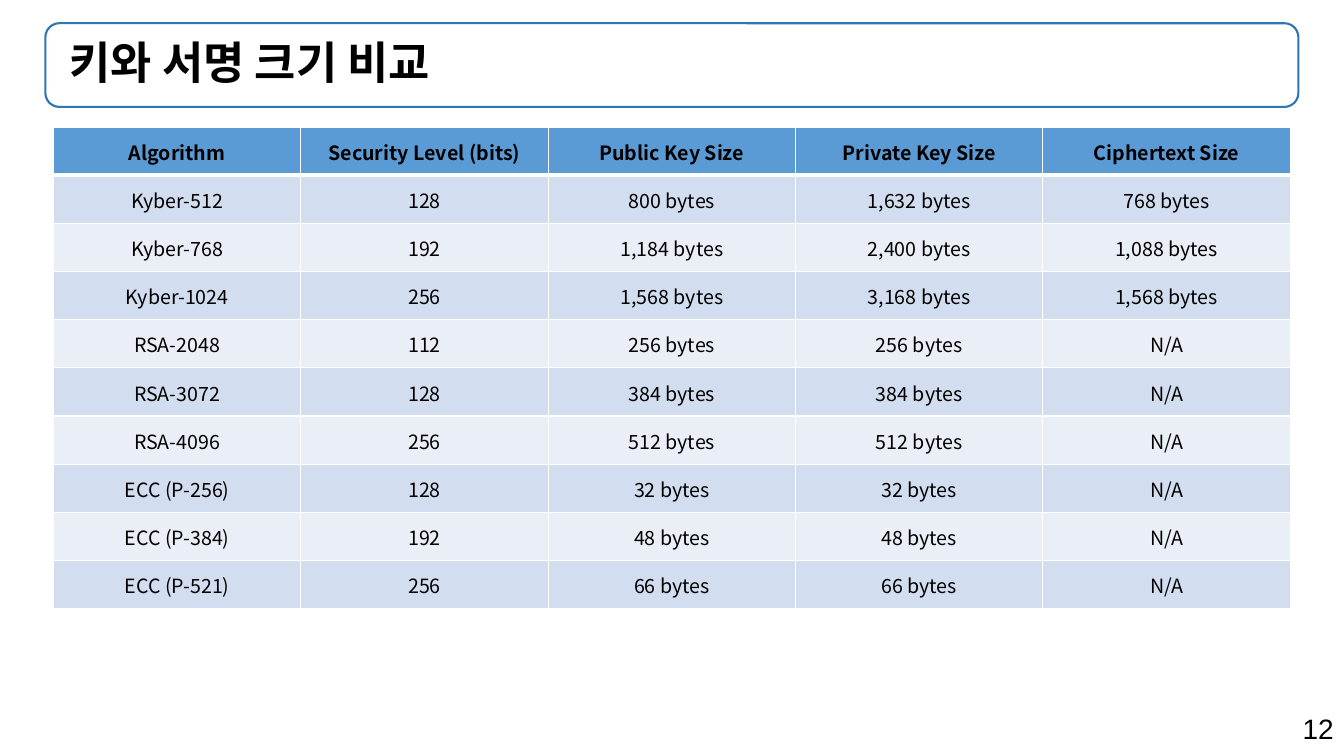
from dataclasses import dataclass

from lxml.etree import SubElement
from pptx import Presentation
from pptx.dml.color import RGBColor
from pptx.enum.shapes import MSO_SHAPE
from pptx.enum.text import MSO_ANCHOR, MSO_AUTO_SIZE, PP_ALIGN
from pptx.oxml import parse_xml
from pptx.oxml.ns import nsdecls, qn
from pptx.util import Inches, Pt

BLACK = RGBColor(0x00, 0x00, 0x00)
WHITE = RGBColor(0xFF, 0xFF, 0xFF)
FRAME_BLUE = RGBColor(0x2E, 0x75, 0xB6)
HEADER_BLUE = RGBColor(0x5B, 0x9B, 0xD5)
BANDS = (RGBColor(0xD2, 0xDE, 0xEF), RGBColor(0xEA, 0xEF, 0xF7))

LATIN_FONT = "Arial"
KOREAN_FONT = "Noto Sans CJK KR"
SLIDE_WIDTH, SLIDE_HEIGHT = Inches(13.33), Inches(7.5)


@dataclass(frozen=True)
class Area:
    """A place on the slide, in percent of its width and height."""
    left: float
    top: float
    width: float
    height: float

    def lengths(self) -> tuple[int, int, int, int]:
        return (round(SLIDE_WIDTH * self.left / 100),
                round(SLIDE_HEIGHT * self.top / 100),
                round(SLIDE_WIDTH * self.width / 100),
                round(SLIDE_HEIGHT * self.height / 100))


@dataclass(frozen=True)
class KeySizes:
    algorithm: str
    security: str
    public_key: str
    private_key: str
    ciphertext: str = "N/A"

    def texts(self) -> tuple[str, ...]:
        return (self.algorithm, self.security, self.public_key,
                self.private_key, self.ciphertext)


TITLE_AREA = Area(3.38, 3.07, 93.23, 11.07)
TABLE_AREA = Area(3.98, 16.8, 92.03, 63.73)
NUMBER_AREA = Area(70.73, 93.47, 29.25, 5.87)

HEADER = KeySizes("Algorithm", "Security Level (bits)", "Public Key Size",
                  "Private Key Size", "Ciphertext Size")
ALGORITHMS = (
    KeySizes("Kyber-512", "128", "800 bytes", "1,632 bytes", "768 bytes"),
    KeySizes("Kyber-768", "192", "1,184 bytes", "2,400 bytes", "1,088 bytes"),
    KeySizes("Kyber-1024", "256", "1,568 bytes", "3,168 bytes", "1,568 bytes"),
    KeySizes("RSA-2048", "112", "256 bytes", "256 bytes"),
    KeySizes("RSA-3072", "128", "384 bytes", "384 bytes"),
    KeySizes("RSA-4096", "256", "512 bytes", "512 bytes"),
    KeySizes("ECC (P-256)", "128", "32 bytes", "32 bytes"),
    KeySizes("ECC (P-384)", "192", "48 bytes", "48 bytes"),
    KeySizes("ECC (P-521)", "256", "66 bytes", "66 bytes"),
)


def style_paragraph(para, size: float, font: str, align: PP_ALIGN,
                    bold: bool = False) -> None:
    para.alignment = align
    para.font.size = Pt(size)
    para.font.name = font
    para.font.bold = bold
    para.font.color.rgb = BLACK


def add_title(page) -> None:
    # Rounded frame behind the title
    frame = page.shapes.add_shape(MSO_SHAPE.ROUNDED_RECTANGLE,
                                  *TITLE_AREA.lengths())
    frame.shadow.inherit = False
    frame.fill.background()
    frame.line.color.rgb = FRAME_BLUE
    frame.line.width = Pt(1.5)

    # Title text
    title = page.shapes.title
    title._element.addprevious(frame._element)
    title.left, title.top, title.width, title.height = TITLE_AREA.lengths()
    text = title.text_frame
    text.text = "키와 서명 크기 비교"
    text.auto_size = MSO_AUTO_SIZE.NONE
    text.vertical_anchor = MSO_ANCHOR.MIDDLE
    text.margin_left = Inches(0.24)
    para = text.paragraphs[0]
    para.line_spacing = 0.9
    style_paragraph(para, 32, LATIN_FONT, PP_ALIGN.LEFT, bold=True)
    defaults = para._p.pPr.find(qn("a:defRPr"))
    SubElement(defaults, qn("a:ea"), typeface=KOREAN_FONT)


def set_borders(cell, top: float, bottom: float) -> None:
    properties = cell._tc.get_or_add_tcPr()
    sides = (("L", 1), ("R", 1), ("T", top), ("B", bottom))
    for position, (side, width) in enumerate(sides):
        properties.insert(position, parse_xml(
            f'<a:ln{side} {nsdecls("a")} w="{Pt(width)}"><a:solidFill>'
            f'<a:srgbClr val="{WHITE}"/></a:solidFill></a:ln{side}>'))


def fill_cell(cell, text: str, row: int) -> None:
    is_header = row == 0
    cell.text = text
    cell.vertical_anchor = MSO_ANCHOR.MIDDLE
    cell.margin_left = cell.margin_top = cell.margin_right = Inches(0.01)
    cell.margin_bottom = 0
    cell.fill.solid()
    cell.fill.fore_color.rgb = HEADER_BLUE if is_header else BANDS[(row - 1) % 2]
    style_paragraph(cell.text_frame.paragraphs[0], 14, KOREAN_FONT,
                    PP_ALIGN.CENTER, bold=is_header)
    set_borders(cell, top=3 if row == 1 else 1, bottom=3 if is_header else 1)


def add_size_table(page) -> None:
    records = (HEADER, *ALGORITHMS)
    table = page.shapes.add_table(len(records), len(HEADER.texts()),
                                  *TABLE_AREA.lengths()).table
    table.first_row = table.horz_banding = False
    for row, record in enumerate(records):
        for column, text in enumerate(record.texts()):
            fill_cell(table.cell(row, column), text, row)


def add_page_number(page) -> None:
    box = page.shapes.add_textbox(*NUMBER_AREA.lengths())
    box.text_frame.word_wrap = True
    box.text_frame.text = "12"
    style_paragraph(box.text_frame.paragraphs[0], 20, LATIN_FONT,
                    PP_ALIGN.RIGHT)


def main() -> None:
    deck = Presentation()
    deck.slide_width, deck.slide_height = SLIDE_WIDTH, SLIDE_HEIGHT
    page = deck.slides.add_slide(deck.slide_layouts.get_by_name("Title Only"))
    add_title(page)
    add_size_table(page)
    add_page_number(page)
    deck.save("out.pptx")


if __name__ == "__main__":
    main()
